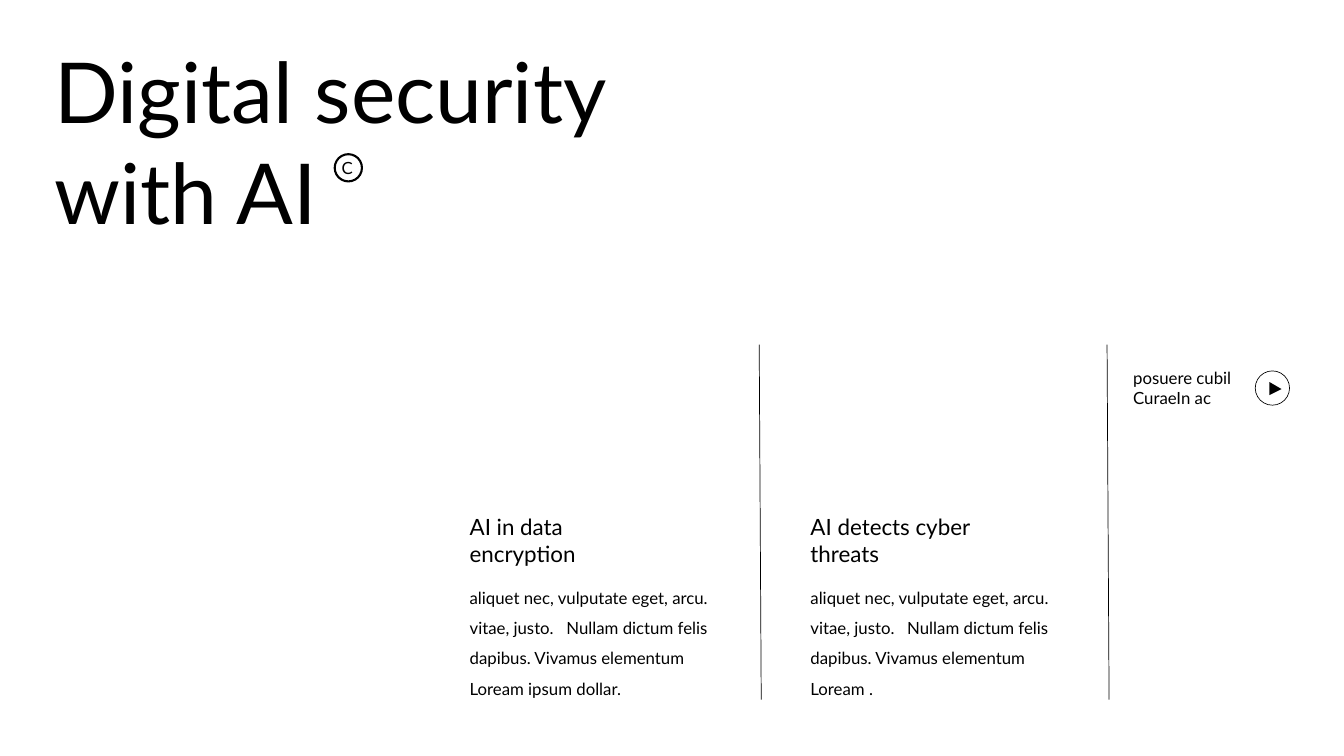
import pptx
import pptx.util
import pptx.dml.color
import pptx.enum.shapes
import pptx.enum.text
import lxml.etree
from dataclasses import dataclass

PX = 9144


@dataclass(frozen=True)
class Theme:
    font: str = "Lato"
    ink: pptx.dml.color.RGBColor = pptx.dml.color.RGBColor(0, 0, 0)
    title: int = 60
    heading: int = 16
    body: int = 12


theme = Theme()


def fill_text(sp, paragraphs, size, spacing=None, tab=None):
    tf = sp.text_frame
    tf.word_wrap = True
    tf.auto_size = pptx.enum.text.MSO_AUTO_SIZE.NONE
    tf.vertical_anchor = pptx.enum.text.MSO_ANCHOR.TOP
    for i, text in enumerate(paragraphs):
        p = tf.add_paragraph() if i else tf.paragraphs[0]
        p.alignment = pptx.enum.text.PP_ALIGN.LEFT
        if spacing:
            p.line_spacing = spacing
        if tab and "\t" in text:
            pPr = p._p.get_or_add_pPr()
            tabs = lxml.etree.SubElement(pPr, pptx.oxml.ns.qn("a:tabLst"))
            lxml.etree.SubElement(tabs, pptx.oxml.ns.qn("a:tab"), pos=str(tab * PX), algn="l")
        r = p.add_run()
        r.text = text
        r.font.name = theme.font
        r.font.size = pptx.util.Pt(size)
        r.font.color.rgb = theme.ink


def add_ring(shapes, left, top, size, weight):
    sp = shapes.add_shape(pptx.enum.shapes.MSO_SHAPE.OVAL, left * PX, top * PX, size * PX, size * PX)
    sp.shadow.inherit = False
    sp.fill.background()
    sp.line.color.rgb = theme.ink
    sp.line.width = pptx.util.Pt(weight)


prs = pptx.Presentation()
prs.slide_width = 1333 * PX
prs.slide_height = 750 * PX
s = prs.slides.add_slide(prs.slide_layouts[5])

title = s.shapes.title
title.left, title.top, title.width, title.height = 44 * PX, 34 * PX, 667 * PX, 212 * PX
fill_text(title, ["Digital security with AI"], theme.title)

for x in (753, 1098):
    divider = s.shapes.add_connector(
        pptx.enum.shapes.MSO_CONNECTOR.STRAIGHT, (x + 2) * PX, 694 * PX, x * PX, 342 * PX)
    divider.line.color.rgb = theme.ink
    divider.line.width = pptx.util.Pt(0.5)
    lxml.etree.SubElement(divider._element.spPr, pptx.oxml.ns.qn("a:effectLst"))

badge = s.shapes.add_group_shape().shapes
add_ring(badge, 332, 153, 27, 1.5)
letter = badge.add_textbox(329 * PX, 152 * PX, 27 * PX, 30 * PX)
fill_text(letter, ["C"], theme.body)

columns = [
    (456, ["AI in data", "encryption"], "Loream ipsum dollar."),
    (794, ["AI detects cyber threats"], "Loream ."),
]
for x, heading, ending in columns:
    heading_box = s.shapes.add_textbox(x * PX, 504 * PX, 192 * PX, 64 * PX)
    fill_text(heading_box, heading, theme.heading)
    body_box = s.shapes.add_textbox(x * PX, 568 * PX, 283 * PX, 158 * PX)
    body = [
        "aliquet nec, vulputate eget, arcu.",
        "vitae, justo.\tNullam dictum felis",
        "dapibus. Vivamus elementum",
        ending,
    ]
    fill_text(body_box, body, theme.body, spacing=1.5, tab=96)

play = s.shapes.add_group_shape().shapes
add_ring(play, 1245, 368, 34, 0.47)
outline = play.build_freeform(1259, 379, scale=PX)
outline.add_line_segments([(1271, 386), (1259, 392)], close=True)
arrow = outline.convert_to_shape()
arrow.shadow.inherit = False
arrow.fill.solid()
arrow.fill.fore_color.rgb = theme.ink
arrow.line.fill.background()

caption = s.shapes.add_textbox(1114 * PX, 360 * PX, 122 * PX, 71 * PX)
fill_text(caption, ["posuere cubil", "CuraeIn ac"], theme.body)

prs.save("out.pptx")
